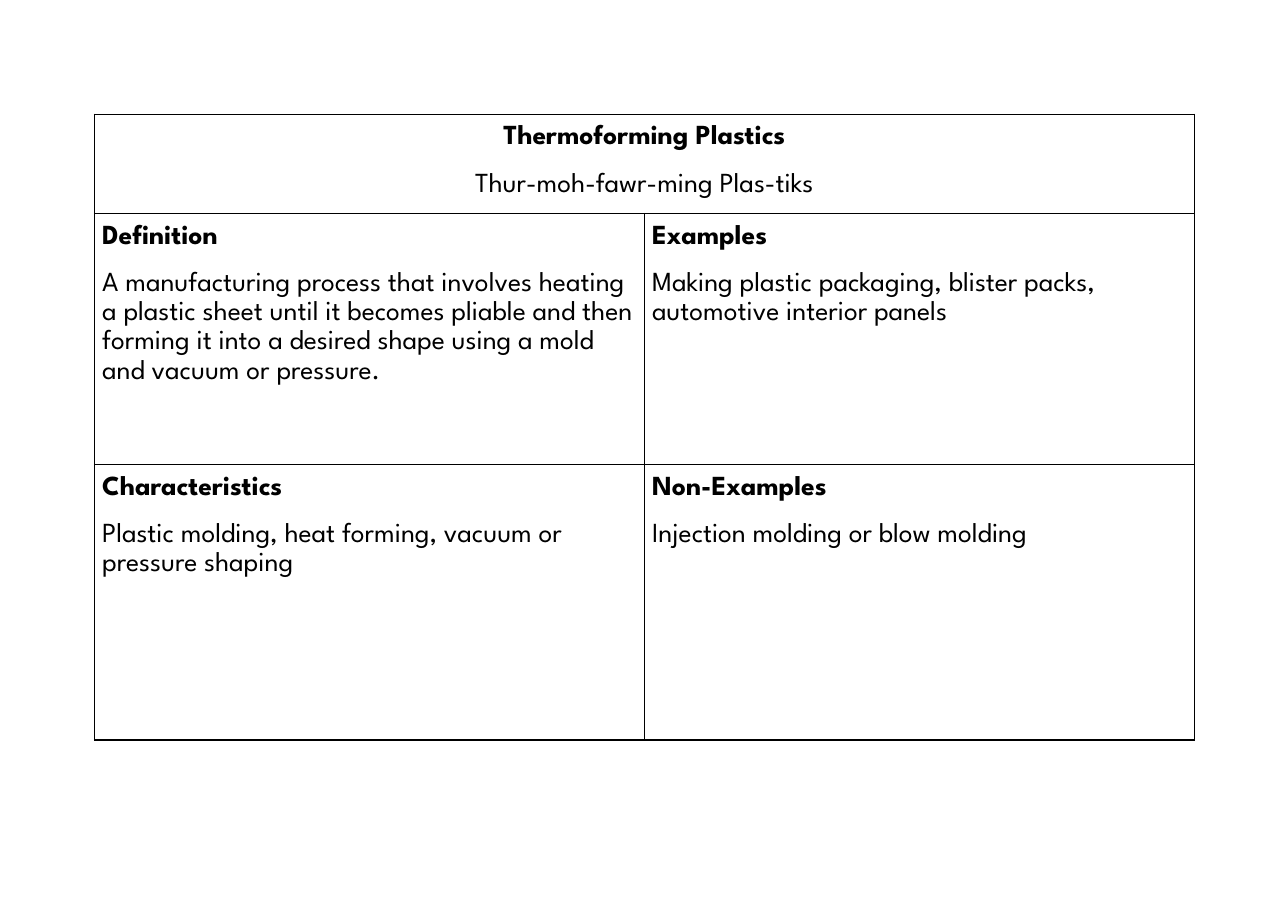
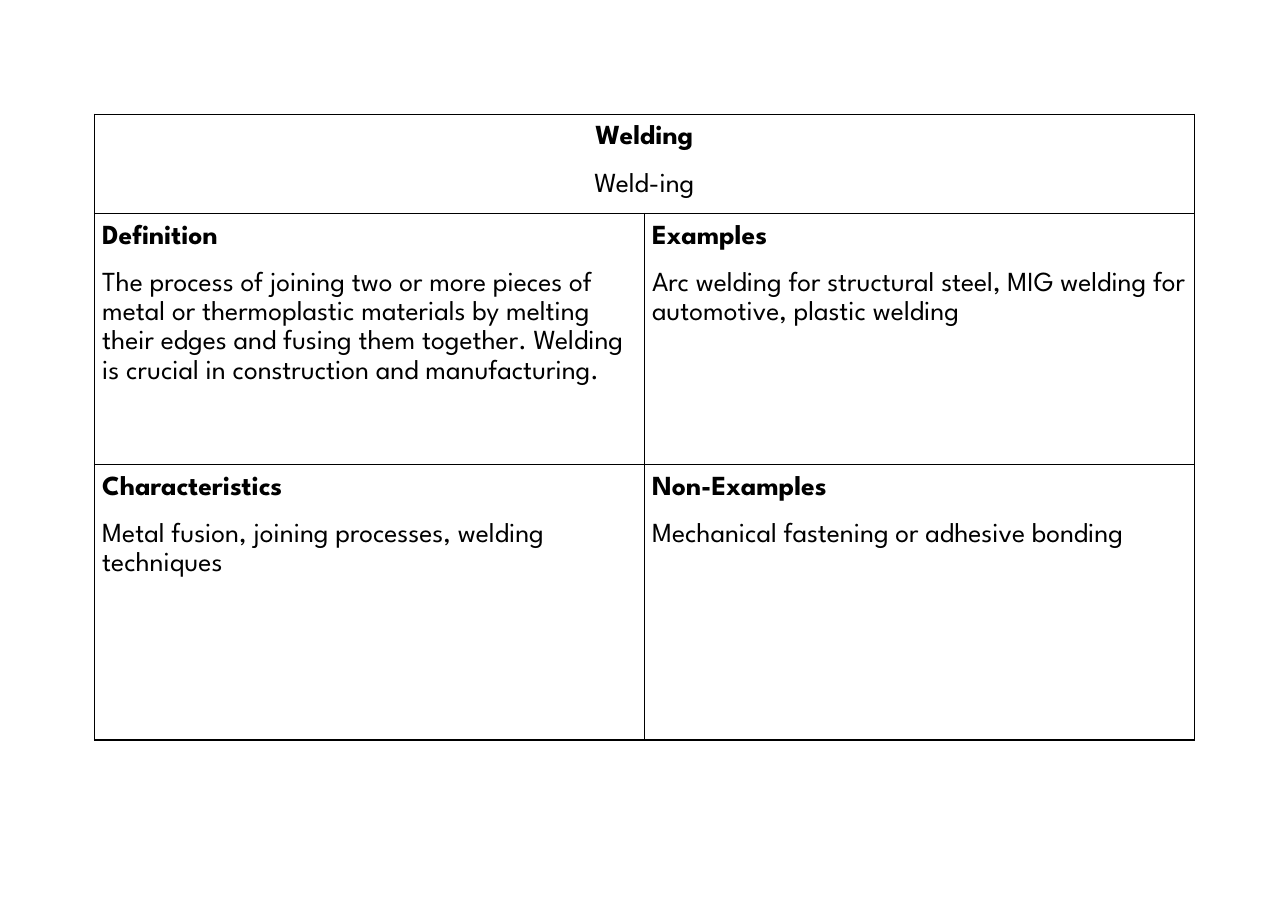
from dataclasses import dataclass

from lxml import etree
from pptx import Presentation
from pptx import util as u
from pptx.dml import color
from pptx.enum import text
from pptx.oxml import ns

# Shared style
FONT = "League Spartan"
INK = "000000"
TEXT_SIZE = 18
LINE_SPACING = 1.15
GAP = 12
INSET = 5
BORDER = 1

# Shared layout, in points
SLIDE_W, SLIDE_H = 841.68, 595.44
LEFT, TOP = 61.8, 74.7
COLUMN_W = 359.3
ROW_HEIGHTS = (64.8, 164.2, 180)


@dataclass(frozen=True)
class WordCard:
    term: str
    pronunciation: str
    definition: str
    examples: str
    characteristics: str
    non_examples: str


CARDS = (
    WordCard(
        term="Thermoforming Plastics",
        pronunciation="Thur-moh-fawr-ming Plas-tiks",
        definition="A manufacturing process that involves heating a plastic sheet "
                   "until it becomes pliable and then forming it into a desired "
                   "shape using a mold and vacuum or pressure.",
        examples="Making plastic packaging, blister packs, automotive interior panels",
        characteristics="Plastic molding, heat forming, vacuum or pressure shaping",
        non_examples="Injection molding or blow molding",
    ),
    WordCard(
        term="Welding",
        pronunciation="Weld-ing",
        definition="The process of joining two or more pieces of metal or "
                   "thermoplastic materials by melting their edges and fusing them "
                   "together. Welding is crucial in construction and manufacturing.",
        examples="Arc welding for structural steel, MIG welding for automotive, "
                 "plastic welding",
        characteristics="Metal fusion, joining processes, welding techniques",
        non_examples="Mechanical fastening or adhesive bonding",
    ),
)


def rgb(value: str) -> color.RGBColor:
    return color.RGBColor.from_string(value)


def frame_cell(cell) -> None:
    """Give a cell its four borders, insets and an empty fill."""
    properties = cell._tc.get_or_add_tcPr()
    for side in ("lnL", "lnR", "lnT", "lnB"):
        line = etree.SubElement(properties, ns.qn(f"a:{side}"), w=str(u.Pt(BORDER)))
        fill = etree.SubElement(line, ns.qn("a:solidFill"))
        etree.SubElement(fill, ns.qn("a:srgbClr"), val=INK)
    cell.fill.background()
    cell.margin_left = cell.margin_right = u.Pt(INSET)
    cell.margin_top = cell.margin_bottom = u.Pt(INSET)
    cell.vertical_anchor = text.MSO_ANCHOR.TOP


def write_cell(cell, heading: str, body: str, align: text.PP_ALIGN) -> None:
    """Write a bold heading with a regular paragraph below it."""
    frame = cell.text_frame
    lines = ((frame.paragraphs[0], heading, True), (frame.add_paragraph(), body, False))
    for paragraph, wording, bold in lines:
        paragraph.alignment = align
        paragraph.line_spacing = LINE_SPACING
        if not bold:
            paragraph.space_before = u.Pt(GAP)
        run = paragraph.add_run()
        run.text = wording
        run.font.name = FONT
        run.font.size = u.Pt(TEXT_SIZE)
        run.font.bold = bold
        run.font.color.rgb = rgb(INK)


def add_card(deck, card: WordCard) -> None:
    """Add one slide holding the word table."""
    slide = deck.slides.add_slide(deck.slide_layouts[6])
    table = slide.shapes.add_table(
        len(ROW_HEIGHTS), 2, u.Pt(LEFT), u.Pt(TOP),
        u.Pt(2 * COLUMN_W), u.Pt(sum(ROW_HEIGHTS)),
    ).table
    table.first_row = table.horz_banding = False

    # Grid
    for column in table.columns:
        column.width = u.Pt(COLUMN_W)
    for row, height in zip(table.rows, ROW_HEIGHTS):
        row.height = u.Pt(height)
        for cell in row.cells:
            frame_cell(cell)

    # Term across the top
    term = table.cell(0, 0)
    term.merge(table.cell(0, 1))
    write_cell(term, card.term, card.pronunciation, text.PP_ALIGN.CENTER)
    term.text_frame.paragraphs[-1].space_after = u.Pt(GAP)

    # Four fields below, two to a row
    fields = (
        ("Definition", card.definition),
        ("Examples", card.examples),
        ("Characteristics", card.characteristics),
        ("Non-Examples", card.non_examples),
    )
    for index, (heading, body) in enumerate(fields):
        row, column = divmod(index, 2)
        write_cell(table.cell(row + 1, column), heading, body, text.PP_ALIGN.LEFT)


def main() -> None:
    deck = Presentation()
    deck.slide_width, deck.slide_height = u.Pt(SLIDE_W), u.Pt(SLIDE_H)
    for card in CARDS:
        add_card(deck, card)
    deck.save("out.pptx")


if __name__ == "__main__":
    main()
